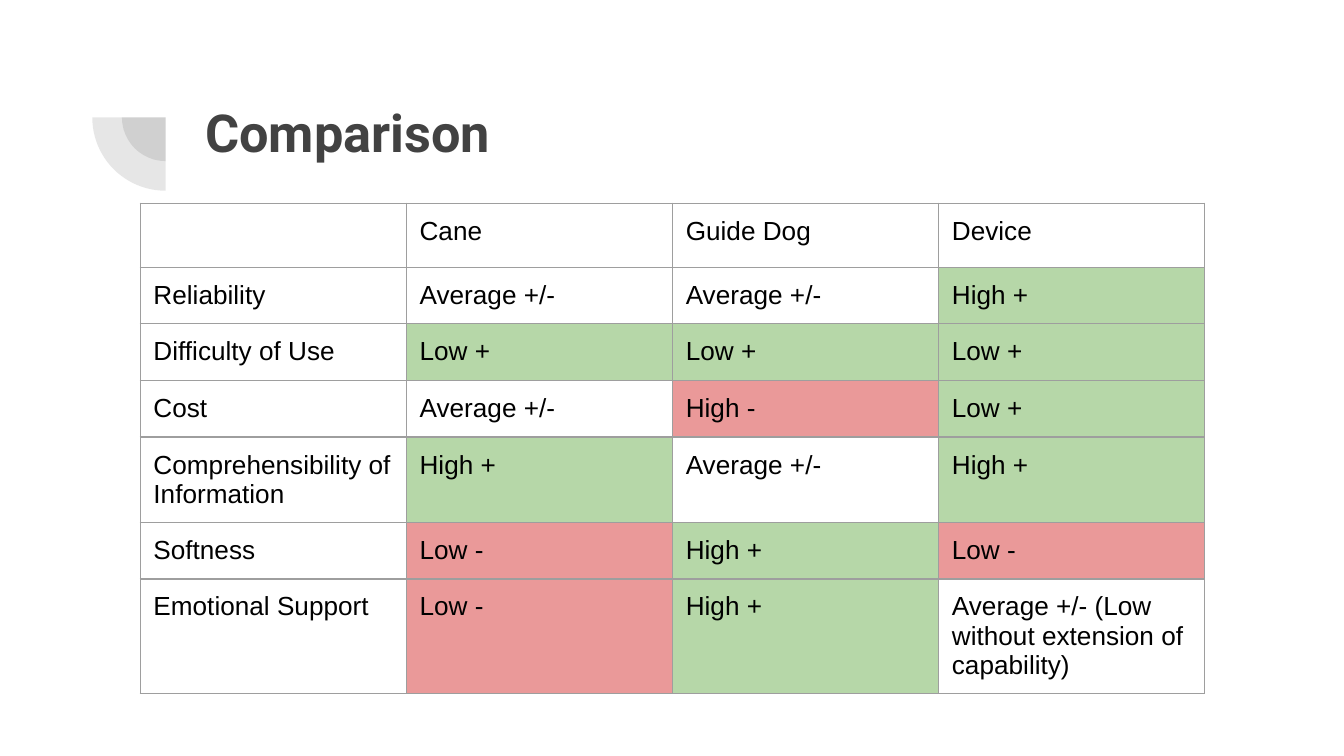
from lxml.etree import SubElement
from pptx import Presentation
from pptx.dml.color import RGBColor
from pptx.enum.shapes import MSO_SHAPE
from pptx.enum.text import MSO_ANCHOR, PP_ALIGN
from pptx.oxml.ns import qn
from pptx.util import Cm, Pt

COLORS = {"dark": "424242", "text": "000000", "border": "9E9E9E",
          "good": "B6D7A8", "bad": "EA9999"}
TITLE = "Comparison"
# Each cell holds its text and, where rated, the name of its fill colour.
ROWS = [
    [("", None), ("Cane", None), ("Guide Dog", None), ("Device", None)],
    [("Reliability", None), ("Average +/-", None), ("Average +/-", None), ("High +", "good")],
    [("Difficulty of Use", None), ("Low +", "good"), ("Low +", "good"), ("Low +", "good")],
    [("Cost", None), ("Average +/-", None), ("High -", "bad"), ("Low +", "good")],
    [("Comprehensibility of Information", None), ("High +", "good"),
     ("Average +/-", None), ("High +", "good")],
    [("Softness", None), ("Low -", "bad"), ("High +", "good"), ("Low -", "bad")],
    [("Emotional Support", None), ("Low -", "bad"), ("High +", "good"),
     ("Average +/- (Low without extension of capability)", None)],
]
PIE_CENTER = (3.13, 2.22)
PIE_DIAMETERS = (1.65, 2.77)
COL_W, HEADER_H, ROW_H = 5.03, 1.21, 1.07
INSET = Cm(0.25)


def rgb(name):
    return RGBColor.from_string(COLORS[name])


def add_run(p, text, size, font, color, bold=False):
    r = p.add_run()
    r.text = text
    r.font.size = Pt(size)
    r.font.name = font
    r.font.bold = bold
    r.font.color.rgb = rgb(color)


def add_quarter(slide, diameter):
    """Add a translucent lower-left quarter disc around PIE_CENTER."""
    x, y = (Cm(c - diameter / 2) for c in PIE_CENTER)
    sp = slide.shapes.add_shape(MSO_SHAPE.PIE, x, y, Cm(diameter), Cm(diameter))
    sp.adjustments[0], sp.adjustments[1] = 108, 162
    sp.rotation = 270
    sp.shadow.inherit = False
    sp.line.fill.background()
    sp.fill.solid()
    sp.fill.fore_color.rgb = rgb("dark")
    color = sp.fill._xPr.find(qn("a:solidFill"))[0]
    SubElement(color, qn("a:alpha"), val="13000")


def set_borders(cell):
    tcPr = cell._tc.get_or_add_tcPr()
    for side in ("lnL", "lnR", "lnT", "lnB"):
        ln = SubElement(tcPr, qn(f"a:{side}"), w=str(Pt(0.75)))
        fill = SubElement(ln, qn("a:solidFill"))
        SubElement(fill, qn("a:srgbClr"), val=COLORS["border"])


def set_insets(target):
    target.margin_left = target.margin_right = INSET
    target.margin_top = target.margin_bottom = INSET


def fill_cell(cell, text, color):
    set_insets(cell)
    set_borders(cell)
    if color:
        cell.fill.solid()
        cell.fill.fore_color.rgb = rgb(color)
    else:
        cell.fill.background()
    add_run(cell.text_frame.paragraphs[0], text, 14, "Arial", "text")


def add_title(slide):
    title = slide.shapes.title
    title.left, title.top, title.width, title.height = Cm(3.63), Cm(1.65), Cm(19.53), Cm(2.77)
    tf = title.text_frame
    set_insets(tf)
    tf.word_wrap = True
    tf.vertical_anchor = MSO_ANCHOR.TOP
    p = tf.paragraphs[0]
    p.alignment = PP_ALIGN.LEFT
    add_run(p, TITLE, 28, "Roboto", "dark", bold=True)


def add_comparison(slide):
    n_rows, n_cols = len(ROWS), len(ROWS[0])
    height = HEADER_H + ROW_H * (n_rows - 1)
    table = slide.shapes.add_table(n_rows, n_cols, Cm(2.65), Cm(3.84),
                                   Cm(COL_W * n_cols), Cm(height)).table
    table.first_row = table.horz_banding = False
    for col in table.columns:
        col.width = Cm(COL_W)
    for i, row in enumerate(ROWS):
        table.rows[i].height = Cm(ROW_H if i else HEADER_H)
        for j, (text, color) in enumerate(row):
            fill_cell(table.cell(i, j), text, color)


def main():
    prs = Presentation()
    prs.slide_width, prs.slide_height = Cm(25.4), Cm(14.29)
    slide = prs.slides.add_slide(prs.slide_layouts[5])
    for diameter in PIE_DIAMETERS:
        add_quarter(slide, diameter)
    add_title(slide)
    add_comparison(slide)
    prs.save("out.pptx")


if __name__ == "__main__":
    main()
